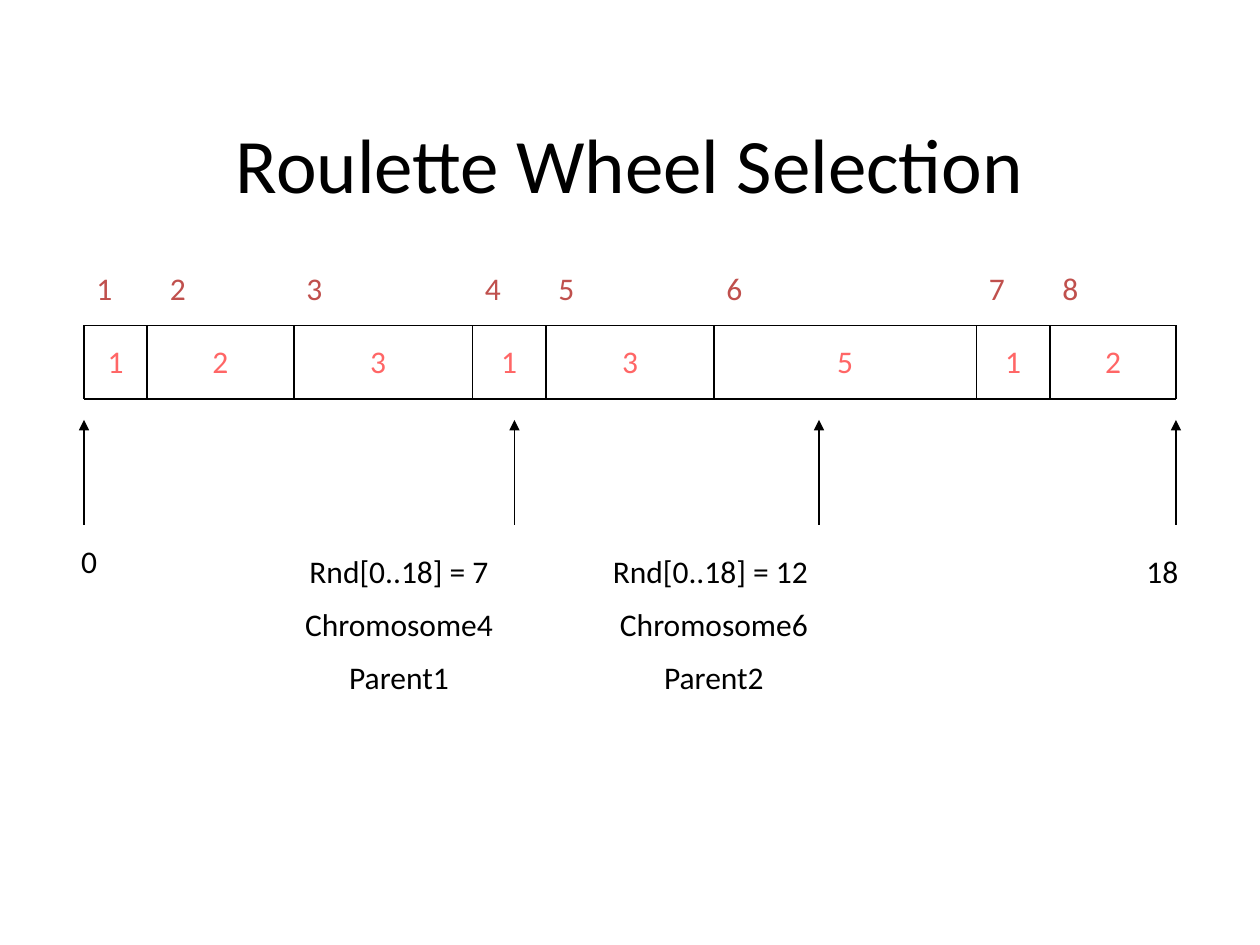
import pptx
import pptx.util
import pptx.dml.color
import pptx.enum.shapes
import pptx.enum.text
import pptx.oxml.ns
import lxml.etree

Pt = pptx.util.Pt
ALIGN = pptx.enum.text.PP_ALIGN
BLACK, RED, PINK = "000000", "C0504D", "FF6666"

deck = pptx.Presentation()
deck.slide_width, deck.slide_height = Pt(720), Pt(540)
slide = deck.slides.add_slide(deck.slide_layouts[5])


def line(x1, y1, x2, y2, arrow=False):
    kind = pptx.enum.shapes.MSO_CONNECTOR.STRAIGHT
    link = slide.shapes.add_connector(kind, Pt(x1), Pt(y1), Pt(x2), Pt(y2))
    link.line.width = Pt(0.75)
    link.line.color.rgb = pptx.dml.color.RGBColor.from_string(BLACK)
    qn = pptx.oxml.ns.qn
    if arrow:
        lxml.etree.SubElement(link.line._get_or_add_ln(), qn("a:tailEnd"), type="triangle")
    lxml.etree.SubElement(link._element.spPr, qn("a:effectLst"))


def text(rows, x, y, wide, high=36, hue=BLACK, align=ALIGN.CENTER):
    frame = slide.shapes.add_textbox(Pt(x), Pt(y), Pt(wide), Pt(high)).text_frame
    frame.word_wrap = True
    frame.text = "\n".join(rows)
    for i, para in enumerate(frame.paragraphs):
        para.alignment = align
        para.space_before = Pt(8.6 if i else 0)
        para.font.name, para.font.size = "Calibri", Pt(18)
        para.font.color.rgb = pptx.dml.color.RGBColor.from_string(hue)


title = slide.shapes.title
title.left, title.top, title.width, title.height = Pt(54), Pt(48), Pt(612), Pt(90)
title.text = "Roulette Wheel Selection"
title.text_frame.vertical_anchor = pptx.enum.text.MSO_ANCHOR.MIDDLE
head = title.text_frame.paragraphs[0]
head.alignment = ALIGN.CENTER
head.font.name, head.font.size = "Calibri", Pt(44)
head.font.color.rgb = pptx.dml.color.RGBColor.from_string(BLACK)

# The wheel, unrolled: one cell per chromosome
edges = [48, 84, 168, 270, 312, 408, 558, 600, 672]
top, base = 186, 228
for y in (top, base):
    line(edges[0], y, edges[-1], y)
for x in edges:
    line(x, top, x, base)

# Fitness, left and width of its box, left and width of the number above
cells = [
    (1, 54, 24, 48, 48),
    (2, 90, 72, 90, 54),
    (3, 168, 96, 168, 48),
    (1, 270, 42, 270, 42),
    (3, 312, 96, 312, 42),
    (5, 408, 150, 408, 42),
    (1, 558, 42, 558, 42),
    (2, 606, 60, 600, 42),
]
for num, (fit, x, wide, left, span) in enumerate(cells, 1):
    text([str(fit)], x, 192, wide, hue=PINK)
    text([str(num)], left, 150, span, hue=RED, align=ALIGN.LEFT)

# Both ends of the range and the two random picks
for x in (edges[0], 294, 468, edges[-1]):
    line(x, 300, x, 240, arrow=True)
text(["0"], 18, 306, 66)
text(["18"], 648, 312, 48, align=ALIGN.LEFT)
text(["Rnd[0..18] = 7", "Chromosome4", "Parent1"], 144, 312, 168, 122)
text(["Rnd[0..18] = 12 ", "Chromosome6", "Parent2"], 318, 312, 180, 122)

deck.save("out.pptx")
